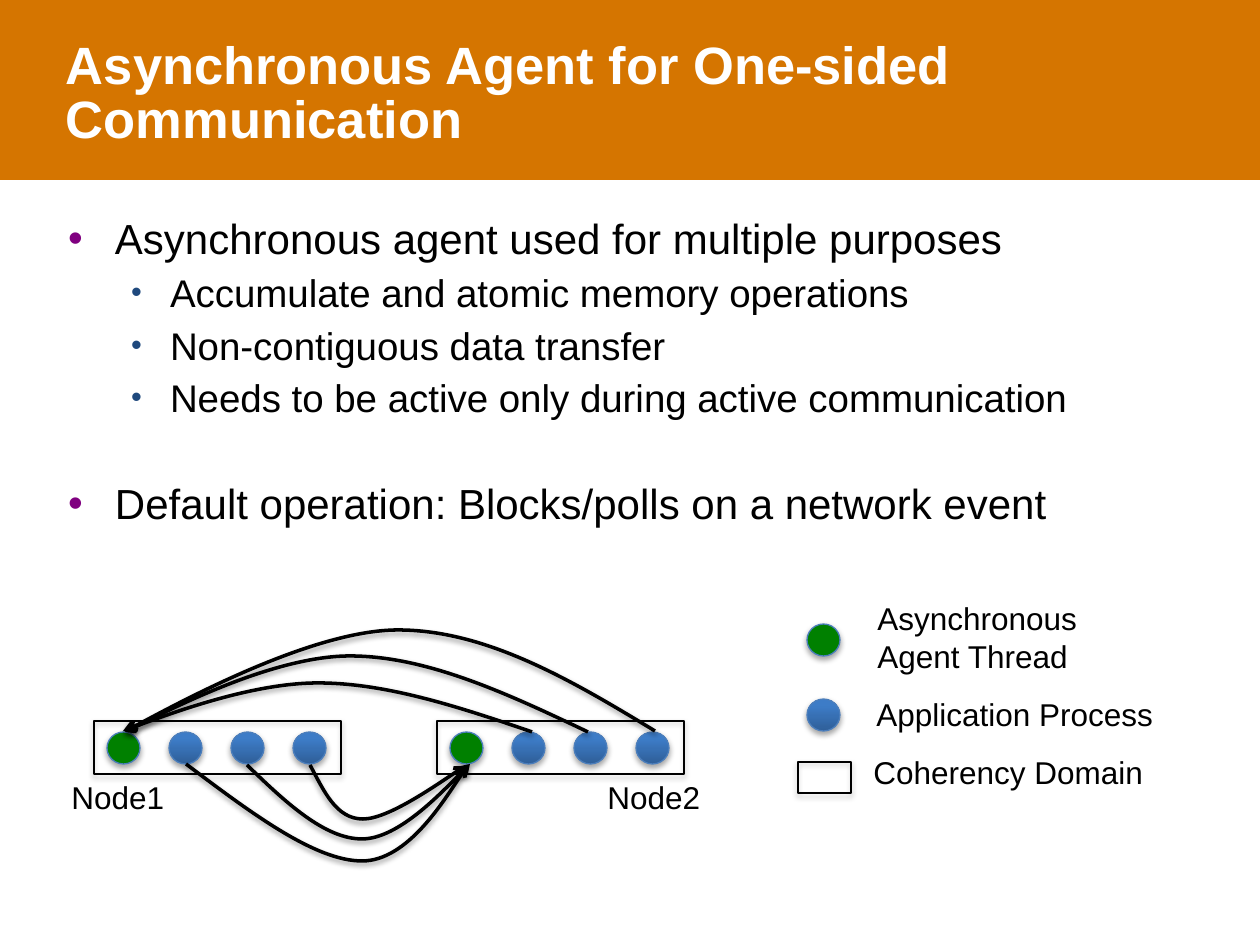
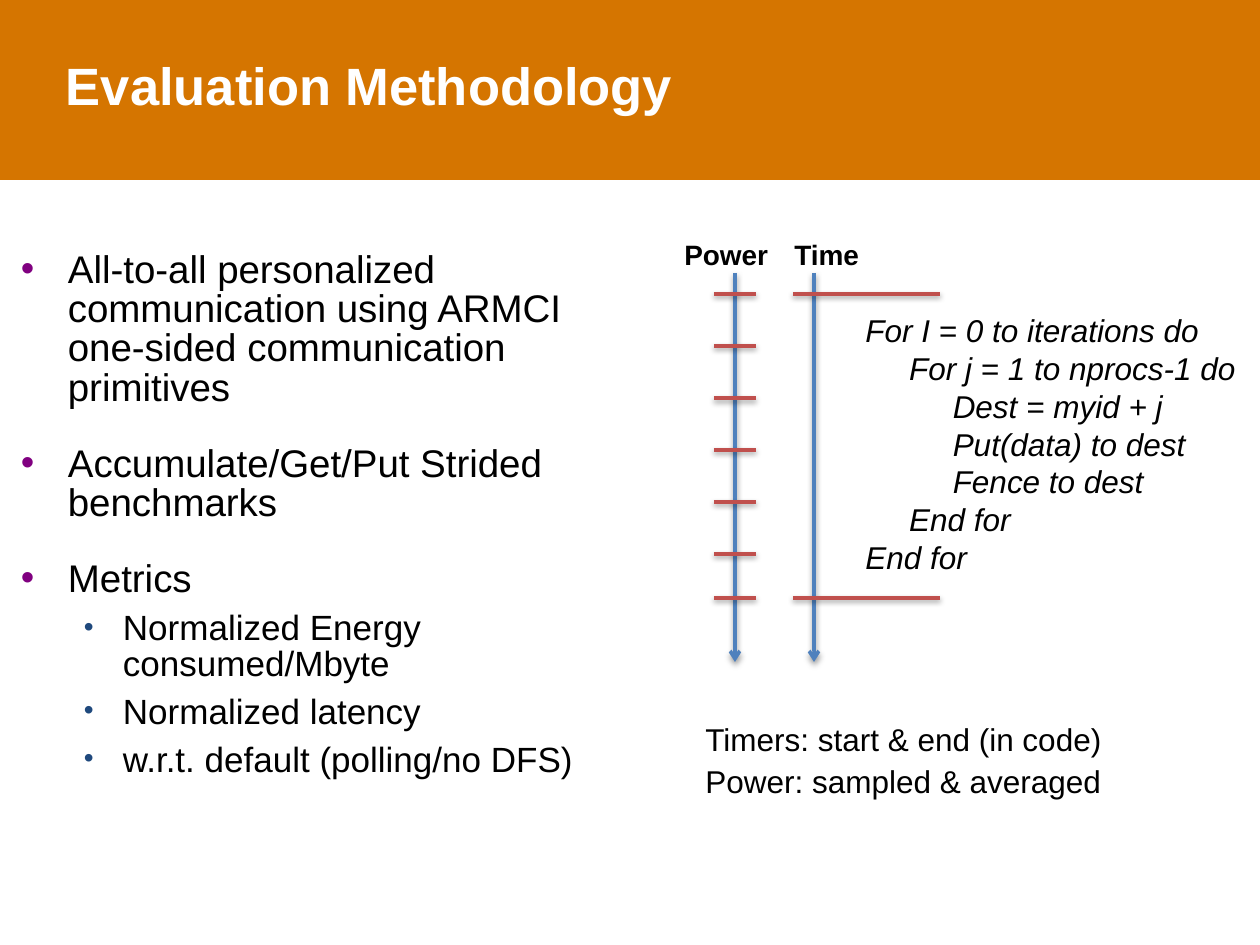
from pptx import Presentation
from pptx.dml.color import RGBColor
from pptx.enum.shapes import MSO_CONNECTOR, MSO_SHAPE
from pptx.enum.text import MSO_ANCHOR, PP_ALIGN
from pptx.oxml import parse_xml
from pptx.oxml.ns import nsdecls, qn
from pptx.util import Emu, Pt

RECT, OVAL = MSO_SHAPE.RECTANGLE, MSO_SHAPE.OVAL
STRAIGHT = MSO_CONNECTOR.STRAIGHT
TOP, LEFT = MSO_ANCHOR.TOP, PP_ALIGN.LEFT
SCALE = 914400 / 126
FONT = "Arial"
TIGHT = 0.85
COLORS = {
    "band": "D57500", "white": "FFFFFF", "black": "000000",
    "bullet": "800080", "sub": "1F497D", "agent": "008000",
    "rim": "4B7EBC", "dark": "2F5F99", "light": "3D7CC7",
    "axis": "4F81BD", "tick": "C0504D",
}


def px(n):
    """Turn px into EMU."""
    return Emu(round(n * SCALE))


def rgb(name):
    """Look up a named colour."""
    return RGBColor.from_string(COLORS[name])


def add_run(para, text, size, color="black", bold=False, italic=False):
    """Add one formatted run to a paragraph."""
    run = para.add_run()
    run.text = text
    font = run.font
    font.name, font.size, font.bold, font.italic = FONT, Pt(size), bold, italic
    font.color.rgb = rgb(color)


def add_text(slide, box, lines, size=18, **style):
    """Add a text box with one paragraph for each line."""
    frame = slide.shapes.add_textbox(*map(px, box)).text_frame
    frame.word_wrap = True
    for i, line in enumerate(lines):
        para = frame.add_paragraph() if i else frame.paragraphs[0]
        add_run(para, line, size, **style)


def trim(frame):
    """Remove the insets of a text frame and anchor it at the top."""
    frame.margin_left = frame.margin_right = 0
    frame.margin_top = frame.margin_bottom = 0
    frame.vertical_anchor = TOP
    frame.word_wrap = True


def shade(shape, alpha=35, dist=23000):
    """Give a shape a soft shadow that falls straight down."""
    shape.element.spPr.append(parse_xml(
        f'<a:effectLst {nsdecls("a")}><a:outerShdw blurRad="40000" dist="{dist}" '
        f'dir="5400000" rotWithShape="0"><a:srgbClr val="{COLORS["black"]}">'
        f'<a:alpha val="{alpha * 1000}"/></a:srgbClr></a:outerShdw></a:effectLst>'))


def stroke(shape, color, arrow=False):
    """Style a line or curve, with an open arrowhead if asked."""
    shape.line.color.rgb = rgb(color)
    shape.line.width = Pt(2)
    if arrow:
        line = shape.element.spPr.find(qn("a:ln"))
        line.append(parse_xml(f'<a:tailEnd {nsdecls("a")} type="arrow"/>'))
    shade(shape, 38, 20000)


def add_line(slide, x1, y1, x2, y2, color, arrow=False):
    """Draw a straight line."""
    line = slide.shapes.add_connector(STRAIGHT, *map(px, (x1, y1, x2, y2)))
    stroke(line, color, arrow)


def add_arc(slide, x, y, points):
    """Draw an arrow of two Bezier pieces through six points."""
    start, *rest = [(x + a, y + b) for a, b in points]
    build = slide.shapes.build_freeform(*start, scale=SCALE)
    build.add_line_segments(rest + rest[-1:], close=False)
    arc = build.convert_to_shape()
    steps = list(arc.element.iter(qn("a:lnTo")))
    for i in range(0, len(steps), 3):
        curve = parse_xml(f'<a:cubicBezTo {nsdecls("a")}/>')
        steps[i].addprevious(curve)
        for step in steps[i:i + 3]:
            curve.append(step[0])
            step.getparent().remove(step)
    arc.fill.background()
    stroke(arc, "black", True)


def add_dot(slide, x, y, agent):
    """Draw the dot of an agent thread or an application process."""
    dot = slide.shapes.add_shape(OVAL, *map(px, (x, y, 33, 32)))
    if agent:
        dot.fill.solid()
        dot.fill.fore_color.rgb = rgb("agent")
    else:
        dot.fill.gradient()
        dot.fill.gradient_angle = 90
        for stop, name, spot in zip(dot.fill.gradient_stops, ("dark", "light"), (0, 0.8)):
            stop.color.rgb = rgb(name)
            stop.position = spot
    dot.line.color.rgb = rgb("rim")
    dot.line.width = Pt(0.75)
    shade(dot)


def add_domain(slide, box):
    """Draw the frame of a coherency domain."""
    frame = slide.shapes.add_shape(RECT, *map(px, box))
    frame.fill.background()
    frame.line.color.rgb = rgb("black")
    frame.line.width = Pt(0.75)
    shade(frame)


def add_slide(deck, text, top):
    """Add a slide with the band and its title."""
    slide = deck.slides.add_slide(deck.slide_layouts[5])
    band = slide.shapes.add_shape(RECT, 0, 0, px(1260), px(180))
    band.shadow.inherit = False
    band.fill.solid()
    band.fill.fore_color.rgb = rgb("band")
    band.line.fill.background()
    slide.shapes.element.insert(2, band.element)
    title = slide.shapes.title
    title.left, title.top, title.width, title.height = map(px, (66, top, 1130, 136))
    trim(title.text_frame)
    para = title.text_frame.paragraphs[0]
    para.alignment = LEFT
    para.line_spacing = TIGHT
    add_run(para, text, 30, "white", bold=True)
    return slide


def add_list(slide, box, sizes, gap, items):
    """Add a two-level bullet list, with a gap before each main point."""
    frame = slide.shapes.add_textbox(*map(px, box)).text_frame
    trim(frame)
    for i, (level, text) in enumerate(items):
        para = frame.add_paragraph() if i else frame.paragraphs[0]
        left, hang, color, share = ((47, 47, "bullet", 100), (102, 39, "sub", 80))[level]
        props = para._p.get_or_add_pPr()
        props.set("marL", str(px(left)))
        props.set("indent", str(-px(hang)))
        for tag in (f'buClr {nsdecls("a")}><a:srgbClr val="{COLORS[color]}"/></a:buClr',
                    f'buSzPct {nsdecls("a")} val="{share * 1000}"/',
                    f'buFont {nsdecls("a")} typeface="{FONT}"/',
                    f'buChar {nsdecls("a")} char="•"/'):
            props.append(parse_xml(f"<a:{tag}>"))
        para.level = level
        para.line_spacing = TIGHT
        if i:
            para.space_before = Pt(sizes[level] * 0.345 if level else gap)
        add_run(para, text, sizes[level])


def add_nodes(slide, x, y):
    """Draw two nodes and the messages sent to their agents."""
    for left, name, shift in ((0, "Node1", -35), (343, "Node2", 501)):
        add_domain(slide, (x + left, y + 91, 247, 53))
        for i in range(4):
            add_dot(slide, x + left + 13 + 62 * i, y + 102, i == 0)
        add_text(slide, (x + shift, y + 142, 120, 50), [name])
    arcs = (
        ((438, 102), (365, 77), (292, 53), (224, 53), (155, 53), (29, 101)),
        ((494, 102), (414, 64), (333, 26), (256, 26), (178, 26), (31, 102)),
        ((561, 101), (477, 50), (392, 0), (304, 0), (216, 0), (32, 101)),
        ((92, 134), (157, 183), (221, 231), (268, 231), (314, 231), (373, 136)),
        ((153, 135), (192, 173), (231, 209), (268, 209), (305, 209), (376, 134)),
        ((216, 135), (230, 161), (242, 189), (269, 189), (294, 189), (371, 136)),
    )
    for points in arcs:
        add_arc(slide, x, y, points)


def add_legend(slide, x, y):
    """Explain the dots and frames."""
    add_dot(slide, x + 10, y + 31, True)
    add_text(slide, (x + 68, y, 258, 90), ["Asynchronous", "Agent Thread"])
    add_dot(slide, x + 10, y + 106, False)
    add_text(slide, (x + 67, y + 96, 321, 50), ["Application Process"])
    add_domain(slide, (x + 1, y + 169, 53, 31))
    add_text(slide, (x + 64, y + 154, 330, 50), ["Coherency Domain"])


def add_clock(slide, x, y):
    """Draw the power and time axes with their sample marks."""
    for left, width, name in ((0, 111, "Power"), (110, 91, "Time")):
        add_text(slide, (x + left, y, width, 47), [name], 16, bold=True)
    for axis in (63, 142):
        add_line(slide, x + axis, y + 42, x + axis, y + 431, "axis", True)
    first, last = y + 63, y + 367
    for tick in [first + 52 * i for i in range(6)] + [last]:
        add_line(slide, x + 42, tick, x + 84, tick, "tick")
    for tick in (first, last):
        add_line(slide, x + 121, tick, x + 268, tick, "tick")


def add_code(slide, x, y):
    """Show the timed loop."""
    code = (
        (0, "For I = 0 to iterations do"),
        (1, "For j = 1 to nprocs-1 do"),
        (2, "Dest = myid + j"),
        (2, "Put(data) to dest"),
        (2, "Fence to dest"),
        (1, "End for"),
        (0, "End for"),
    )
    lines = ["     " * depth + text for depth, text in code]
    add_text(slide, (x, y, 407, 318), lines, italic=True)


def add_notes(slide, x, y):
    """State how time and power are measured."""
    for i, line in enumerate(("Timers: start & end (in code)", "Power: sampled & averaged")):
        add_text(slide, (x, y + 42 * i, 440, 50), [line])


def main():
    """Build and save the deck."""
    deck = Presentation()
    deck.slide_width, deck.slide_height = px(1260), px(945)

    agent = add_slide(deck, "Asynchronous Agent for One-sided Communication", 42)
    add_list(agent, (68, 220, 1128, 357), (24, 22), 37, (
        (0, "Asynchronous agent used for multiple purposes"),
        (1, "Accumulate and atomic memory operations"),
        (1, "Non-contiguous data transfer"),
        (1, "Needs to be active only during active communication"),
        (0, "Default operation: Blocks/polls on a network event"),
    ))
    add_nodes(agent, 94, 630)
    add_legend(agent, 797, 593)

    method = add_slide(deck, "Evaluation Methodology", 63)
    add_list(method, (21, 252, 567, 567), (22, 20), 21, (
        (0, "All-to-all personalized communication using ARMCI "
            "one-sided communication primitives"),
        (0, "Accumulate/Get/Put Strided benchmarks"),
        (0, "Metrics"),
        (1, "Normalized Energy consumed/Mbyte"),
        (1, "Normalized latency"),
        (1, "w.r.t. default (polling/no DFS)"),
    ))
    add_clock(method, 672, 231)
    add_code(method, 853, 305)
    add_notes(method, 693, 714)
    deck.save("out.pptx")


if __name__ == "__main__":
    main()
